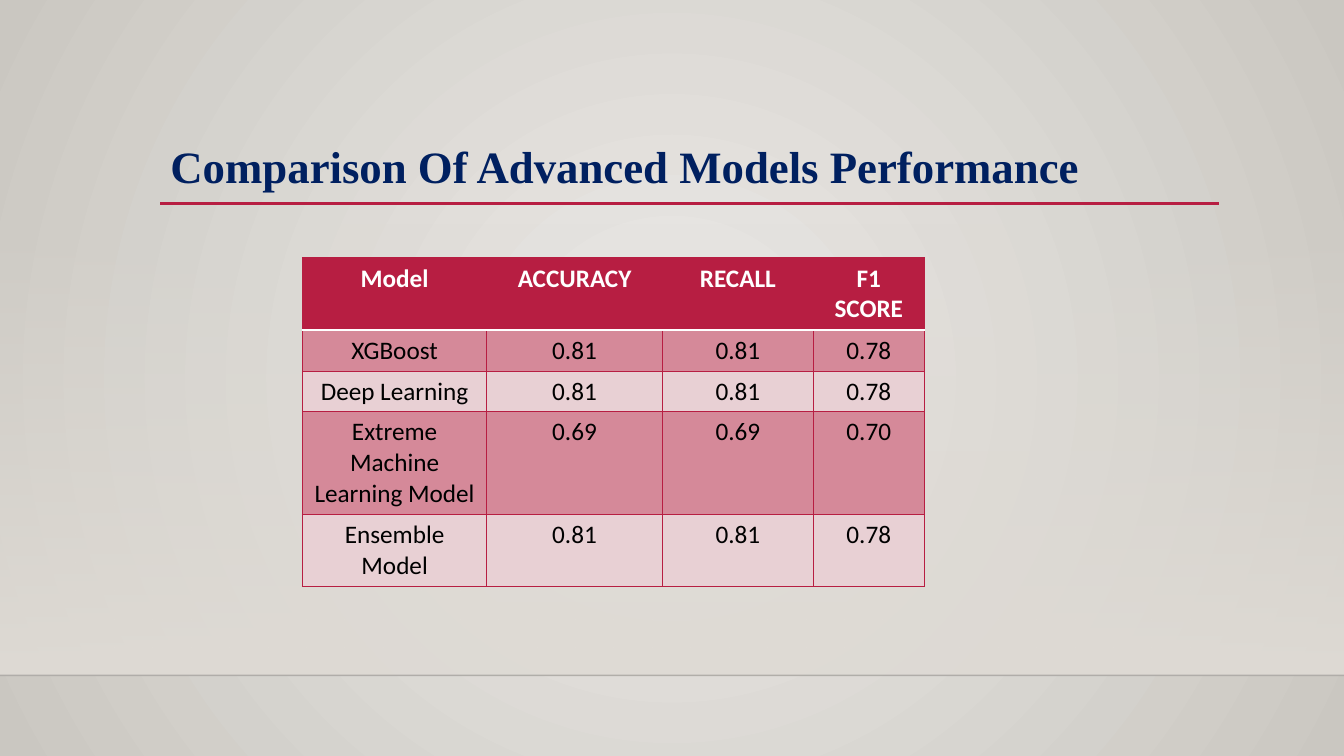
from dataclasses import dataclass

from lxml import etree
from pptx import Presentation
from pptx import oxml
from pptx import util as u
from pptx.dml.color import RGBColor
from pptx.enum import shapes, text
from pptx.oxml import ns


@dataclass(frozen=True)
class Theme:
    accent: str = "B71E42"
    title: str = "002060"
    header_text: str = "FFFFFF"
    body_text: str = "000000"
    odd_row: str = "D58999"
    even_row: str = "E8D0D4"
    glow: str = "ECEAE7"
    edge: str = "CAC7C1"
    wall: str = "DFDBD5"
    floor_line: str = "000001"
    title_font: str = "Times New Roman"
    table_font: str = "Calibri"
    title_size: float = 32
    table_size: float = 18
    border: float = 0.75
    header_rule: float = 1.25


@dataclass(frozen=True)
class Rule:
    left: float
    right: float
    top: float
    color: str
    width: float
    opacity: int = 100


@dataclass(frozen=True)
class ModelScore:
    model: str
    accuracy: str
    recall: str
    f1: str
    height: float

    def values(self) -> tuple:
        return self.model, self.accuracy, self.recall, self.f1


THEME = Theme()
WIDTH, HEIGHT = 33.87, 19.05
FLOOR = 17.02
WALL_TOP = 5.61

RULES = (
    Rule(0, WIDTH, FLOOR, THEME.floor_line, 1, 20),
    Rule(4.04, 30.73, 5.13, THEME.accent, 2.5),
)
COLUMN_WIDTHS = (4.65, 4.42, 3.81, 2.79)
SCORES = (
    ModelScore("Model", "ACCURACY", "RECALL", "F1 SCORE", 1.82),
    ModelScore("XGBoost", "0.81", "0.81", "0.78", 1.03),
    ModelScore("Deep Learning", "0.81", "0.81", "0.78", 1.03),
    ModelScore("Extreme Machine Learning Model", "0.69", "0.69", "0.70", 2.59),
    ModelScore("Ensemble Model", "0.81", "0.81", "0.78", 1.79),
)


def apply_format(target, values: dict) -> None:
    for name, value in values.items():
        setattr(target, name, value)


def format_font(font, name: str, size: float, bold: bool, color: str) -> None:
    apply_format(font, {"name": name, "size": u.Pt(size), "bold": bold})
    font.color.rgb = RGBColor.from_string(color)


def gradient(start: str, end: str, direction: str, start_opacity: int = 100):
    """Return a two-stop gradFill element; direction is its a:lin or a:path part."""
    return oxml.parse_xml(
        f'<a:gradFill {ns.nsdecls("a")} rotWithShape="1"><a:gsLst>'
        f'<a:gs pos="0"><a:srgbClr val="{start}">'
        f'<a:alpha val="{start_opacity * 1000}"/></a:srgbClr></a:gs>'
        f'<a:gs pos="100000"><a:srgbClr val="{end}"/></a:gs>'
        f'</a:gsLst>{direction}</a:gradFill>'
    )


def replace_fill(fill_parent, new_fill) -> None:
    old_fill = fill_parent.find(ns.qn("a:solidFill"))
    fill_parent.replace(old_fill, new_fill)


def paint_background(slide) -> None:
    fill = slide.background.fill
    fill.solid()
    fill.fore_color.rgb = RGBColor.from_string(THEME.edge)
    circle = ('<a:path path="circle"><a:fillToRect l="50000" t="50000" '
              'r="50000" b="50000"/></a:path>')
    background = slide.element.find(".//" + ns.qn("p:bgPr"))
    replace_fill(background, gradient(THEME.glow, THEME.edge, circle))


def add_wall(slide) -> None:
    """Add the panel that fades in down to the floor line."""
    wall = slide.shapes.add_shape(
        shapes.MSO_SHAPE.RECTANGLE, 0, u.Cm(WALL_TOP), u.Cm(WIDTH), u.Cm(FLOOR - WALL_TOP)
    )
    wall.shadow.inherit = False
    wall.line.fill.background()
    wall.fill.solid()
    downward = '<a:lin ang="5400000" scaled="0"/>'
    replace_fill(wall.element.spPr, gradient(THEME.wall, THEME.wall, downward, 0))


def add_rule(slide, rule: Rule) -> None:
    connector = slide.shapes.add_connector(
        shapes.MSO_CONNECTOR.STRAIGHT,
        u.Cm(rule.left), u.Cm(rule.top), u.Cm(rule.right), u.Cm(rule.top),
    )
    connector.line.width = u.Pt(rule.width)
    connector.line.color.rgb = RGBColor.from_string(rule.color)
    properties = connector.element.spPr
    if rule.opacity < 100:
        color = properties.find(".//" + ns.qn("a:srgbClr"))
        etree.SubElement(color, ns.qn("a:alpha"), val=str(rule.opacity * 1000))
    etree.SubElement(properties, ns.qn("a:effectLst"))


def write_title(slide) -> None:
    title = slide.shapes.title
    apply_format(title, {"left": u.Cm(4.04), "top": u.Cm(3.51),
                         "width": u.Cm(26.67), "height": u.Cm(2.92)})
    frame = title.text_frame
    frame.text = "Comparison Of Advanced Models Performance"
    apply_format(frame, {"word_wrap": True, "auto_size": text.MSO_AUTO_SIZE.NONE,
                         "vertical_anchor": text.MSO_ANCHOR.TOP})
    paragraph = frame.paragraphs[0]
    apply_format(paragraph, {"alignment": text.PP_ALIGN.LEFT, "line_spacing": 0.9,
                             "space_before": u.Pt(0)})
    format_font(paragraph.runs[0].font, THEME.title_font, THEME.title_size, True, THEME.title)


def add_border(cell, side: str, color: str, width: float) -> None:
    properties = cell._tc.get_or_add_tcPr()
    line = etree.SubElement(properties, ns.qn(f"a:ln{side}"), w=str(u.Pt(width)))
    fill = etree.SubElement(line, ns.qn("a:solidFill"))
    etree.SubElement(fill, ns.qn("a:srgbClr"), val=color)


def format_cell(cell, value: str, row: int) -> None:
    header = row == 0
    for side in "LRTB":
        under_header = (row, side) in ((0, "B"), (1, "T"))
        add_border(cell, side,
                   THEME.header_text if under_header else THEME.accent,
                   THEME.header_rule if under_header else THEME.border)
    row_color = THEME.odd_row if row % 2 else THEME.even_row
    cell.fill.solid()
    cell.fill.fore_color.rgb = RGBColor.from_string(THEME.accent if header else row_color)
    cell.text = value
    paragraph = cell.text_frame.paragraphs[0]
    paragraph.alignment = text.PP_ALIGN.CENTER
    format_font(paragraph.runs[0].font, THEME.table_font, THEME.table_size, header,
                THEME.header_text if header else THEME.body_text)


def add_score_table(slide) -> None:
    frame = slide.shapes.add_table(
        len(SCORES), len(COLUMN_WIDTHS), u.Cm(7.62), u.Cm(6.5),
        u.Cm(sum(COLUMN_WIDTHS)), u.Cm(sum(score.height for score in SCORES)),
    )
    table = frame.table
    table.horz_banding = False
    for column, width in zip(table.columns, COLUMN_WIDTHS):
        column.width = u.Cm(width)
    for row, score in enumerate(SCORES):
        table.rows[row].height = u.Cm(score.height)
        for column, value in enumerate(score.values()):
            format_cell(table.cell(row, column), value, row)


def main() -> None:
    presentation = Presentation()
    apply_format(presentation, {"slide_width": u.Cm(WIDTH), "slide_height": u.Cm(HEIGHT)})
    slide = presentation.slides.add_slide(presentation.slide_layouts.get_by_name("Title Only"))
    paint_background(slide)
    add_wall(slide)
    for rule in RULES:
        add_rule(slide, rule)
    write_title(slide)
    add_score_table(slide)
    presentation.save("out.pptx")


if __name__ == "__main__":
    main()
